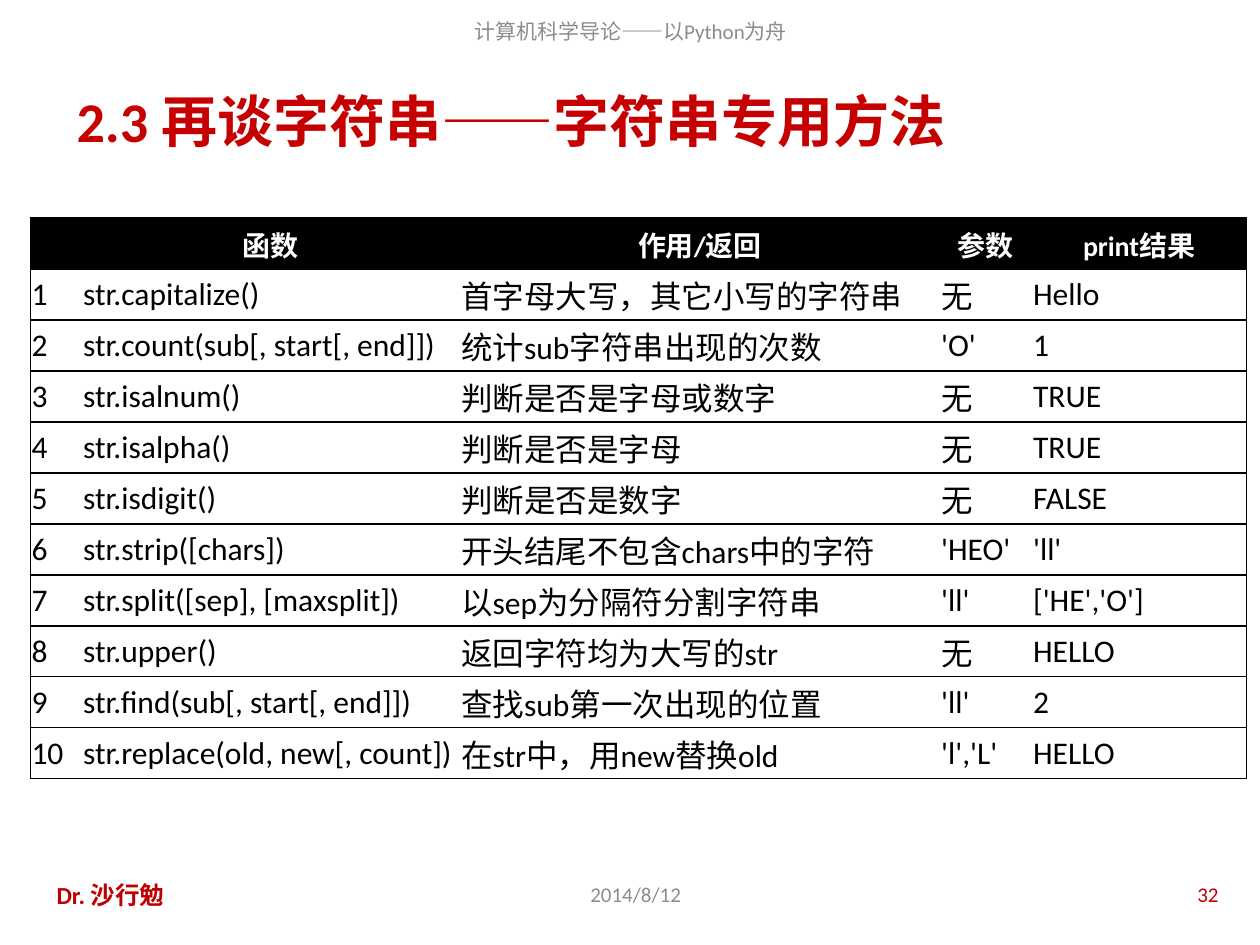
"""Build a slide with a table of Python string methods."""
from dataclasses import dataclass

from lxml.etree import SubElement
from pptx import Presentation
from pptx.dml.color import RGBColor
from pptx.enum.text import MSO_ANCHOR, PP_ALIGN
from pptx.oxml.ns import qn
from pptx.util import Inches, Pt


@dataclass(frozen=True)
class Theme:
    font: str = "Calibri"
    title: str = "C60000"
    accent: str = "C00000"
    muted: str = "8C8C8C"
    dark: str = "000000"
    light: str = "FFFFFF"
    title_size: int = 32
    body_size: int = 18
    header_size: int = 16
    author_size: int = 14
    small_size: int = 12
    border_width: float = 0.75


THEME = Theme()
COLUMN_WIDTHS = (0.41, 3, 3.81, 0.73, 1.7)
ROW_HEIGHT = 0.405
HEADERS = ("", "函数", "作用/返回", "参数", "print结果")
METHODS = (
    ("str.capitalize()", "首字母大写，其它小写的字符串", "无", "Hello"),
    ("str.count(sub[, start[, end]])", "统计sub字符串出现的次数", "'O'", "1"),
    ("str.isalnum()", "判断是否是字母或数字", "无", "TRUE"),
    ("str.isalpha()", "判断是否是字母", "无", "TRUE"),
    ("str.isdigit()", "判断是否是数字", "无", "FALSE"),
    ("str.strip([chars])", "开头结尾不包含chars中的字符", "'HEO'", "'ll'"),
    ("str.split([sep], [maxsplit])", "以sep为分隔符分割字符串", "'ll'", "['HE','O']"),
    ("str.upper()", "返回字符均为大写的str", "无", "HELLO"),
    ("str.find(sub[, start[, end]])", "查找sub第一次出现的位置", "'ll'", "2"),
    ("str.replace(old, new[, count])", "在str中，用new替换old", "'l','L'", "HELLO"),
)


def style_paragraph(p, size, color, bold=False, align=PP_ALIGN.LEFT):
    p.alignment = align
    p.font.name = THEME.font
    p.font.size = Pt(size)
    p.font.bold = bold
    p.font.color.rgb = RGBColor.from_string(color)


def add_text(slide, box, text, size, color, bold=False, align=PP_ALIGN.LEFT):
    sp = slide.shapes.add_textbox(*map(Inches, box))
    tf = sp.text_frame
    tf.word_wrap = True
    tf.vertical_anchor = MSO_ANCHOR.MIDDLE
    p = tf.paragraphs[0]
    p.text = text
    style_paragraph(p, size, color, bold, align)


def set_borders(cell, visible):
    tc_pr = cell._tc.get_or_add_tcPr()
    for side in "LRTB":
        ln = SubElement(tc_pr, qn(f"a:ln{side}"), w=str(Pt(THEME.border_width)))
        if side in visible:
            fill = SubElement(ln, qn("a:solidFill"))
            SubElement(fill, qn("a:srgbClr"), val=THEME.dark)
        else:
            SubElement(ln, qn("a:noFill"))


def fill_cell(cell, text, is_header, borders):
    cell.margin_left = cell.margin_right = cell.margin_top = Inches(0.01)
    cell.margin_bottom = 0
    cell.vertical_anchor = MSO_ANCHOR.MIDDLE
    set_borders(cell, borders)
    cell.fill.solid()
    background = THEME.dark if is_header else THEME.light
    cell.fill.fore_color.rgb = RGBColor.from_string(background)
    p = cell.text_frame.paragraphs[0]
    p.text = text
    if is_header:
        style_paragraph(p, THEME.header_size, THEME.light, True, PP_ALIGN.CENTER)
    else:
        style_paragraph(p, THEME.body_size, THEME.dark)


def add_method_table(slide, left, top):
    rows = [HEADERS] + [(str(n), *method) for n, method in enumerate(METHODS, 1)]
    last = len(HEADERS) - 1
    table = slide.shapes.add_table(
        len(rows), len(HEADERS), Inches(left), Inches(top),
        Inches(sum(COLUMN_WIDTHS)), Inches(ROW_HEIGHT * len(rows)),
    ).table
    for column, width in zip(table.columns, COLUMN_WIDTHS):
        column.width = Inches(width)
    for r, values in enumerate(rows):
        table.rows[r].height = Inches(ROW_HEIGHT)
        for c, text in enumerate(values):
            borders = "TB" + {0: "L", last: "R"}.get(c, "")
            fill_cell(table.cell(r, c), text, r == 0, borders)


def main():
    prs = Presentation()
    prs.slide_width, prs.slide_height = Inches(10), Inches(7.5)
    slide = prs.slides.add_slide(prs.slide_layouts[6])
    add_text(slide, (1.54, 0.05, 6.93, 0.39), "计算机科学导论——以Python为舟",
             THEME.small_size, THEME.muted, align=PP_ALIGN.CENTER)
    add_text(slide, (0.51, 0.6, 9, 0.7), "2.3 再谈字符串——字符串专用方法",
             THEME.title_size, THEME.title, bold=True)
    add_text(slide, (3.35, 6.9, 3.39, 0.4), "2014/8/12",
             THEME.small_size, THEME.muted, align=PP_ALIGN.CENTER)
    add_text(slide, (0.35, 6.9, 2.21, 0.4), "Dr. 沙行勉",
             THEME.author_size, THEME.accent, bold=True)
    add_text(slide, (7.44, 6.9, 2.33, 0.4), "32",
             THEME.small_size, THEME.accent, align=PP_ALIGN.RIGHT)
    add_method_table(slide, 0.24, 1.73)
    prs.save("out.pptx")


if __name__ == "__main__":
    main()
